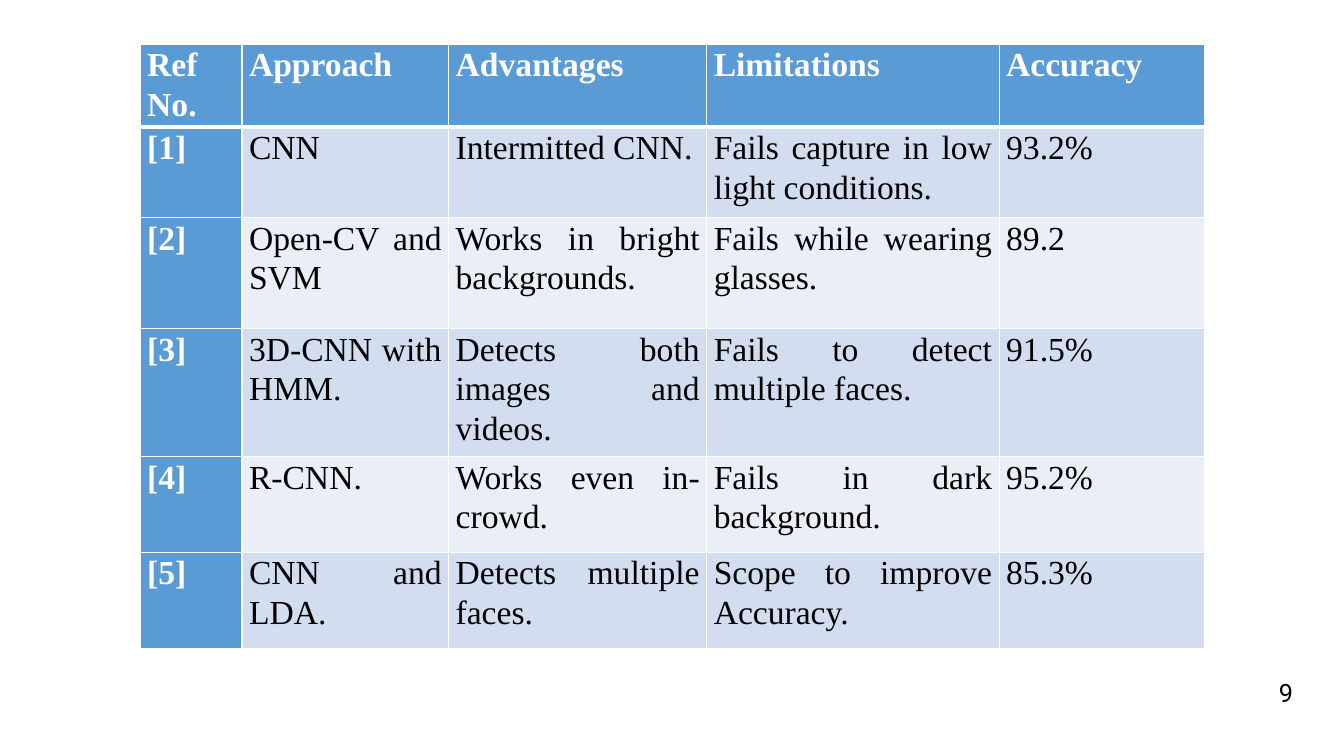
from lxml import etree
from pptx import Presentation
from pptx.dml.color import RGBColor
from pptx.enum.text import MSO_ANCHOR, PP_ALIGN
from pptx.oxml.ns import qn
from pptx.util import Inches, Pt

JUSTIFY = PP_ALIGN.JUSTIFY
CENTER = PP_ALIGN.CENTER
MIDDLE = MSO_ANCHOR.MIDDLE

WIDE, HIGH = 13.33, 7.5
LEFT, TOP = 1.39, 0.44
COLS = [1.01, 2.05, 2.56, 2.9, 2.04]
ROWS = [0.82, 0.9, 1.1, 1.27, 0.95, 0.95]
BLUE, WHITE, BLACK = "5B9BD5", "FFFFFF", "000000"
BANDS = ["EAEFF7", "D2DEEF"]

CELLS = [
    ["Ref No.", "Approach", "Advantages", "Limitations", "Accuracy"],
    ["[1]", "CNN", "Intermitted CNN.",
     "Fails capture in low light conditions.", "93.2%"],
    ["[2]", "Open-CV and SVM", "Works in bright backgrounds.",
     "Fails while wearing glasses.", "89.2"],
    ["[3]", "3D-CNN with HMM.", "Detects both images and videos.",
     "Fails to detect multiple faces.", "91.5%"],
    ["[4]", "R-CNN.", "Works even in-crowd.",
     "Fails in dark background.", "95.2%"],
    ["[5]", "CNN and LDA.", "Detects multiple faces.",
     "Scope to improve Accuracy.", "85.3%"],
]


def paint(color, tone):
    color.rgb = RGBColor.from_string(tone)


def style(frame, face, size, tone, bold, align):
    para = frame.paragraphs[0]
    para.alignment = align
    font = para.runs[0].font
    font.name, font.size, font.bold = face, Pt(size), bold
    paint(font.color, tone)
    return para


def edge(cell, side, width):
    props = cell._tc.get_or_add_tcPr()
    line = etree.SubElement(props, qn("a:ln" + side), w=str(Pt(width)))
    fill = etree.SubElement(line, qn("a:solidFill"))
    etree.SubElement(fill, qn("a:srgbClr"), val=WHITE)


def fill_cell(cell, text, row, col):
    head = row == 0 or col == 0
    cell.margin_left = cell.margin_right = Inches(0.07)
    cell.margin_top = cell.margin_bottom = 0
    cell.text_frame.text = text
    para = style(cell.text_frame, "Times New Roman", 24,
                 WHITE if head else BLACK, head, JUSTIFY)
    para.line_spacing = 1.07
    thick = {(0, "B"), (1, "T")}
    for side in "LRTB":
        edge(cell, side, 3 if (row, side) in thick else 1)
    cell.fill.solid()
    paint(cell.fill.fore_color, BLUE if head else BANDS[row % 2])


def add_grid(slide):
    box = [Inches(n) for n in (LEFT, TOP, sum(COLS), sum(ROWS))]
    table = slide.shapes.add_table(len(ROWS), len(COLS), *box).table
    for col, width in zip(table.columns, COLS):
        col.width = Inches(width)
    for row, height in zip(table.rows, ROWS):
        row.height = Inches(height)
    for r, line in enumerate(CELLS):
        for c, text in enumerate(line):
            fill_cell(table.cell(r, c), text, r, c)


def add_number(slide, text):
    box = [Inches(n) for n in (12.43, 6.67, 0.65, 0.4)]
    frame = slide.shapes.add_textbox(*box).text_frame
    frame.word_wrap = True
    frame.vertical_anchor = MIDDLE
    frame.text = text
    style(frame, "Roboto", 18, BLACK, False, CENTER)


def main():
    deck = Presentation()
    deck.slide_width, deck.slide_height = Inches(WIDE), Inches(HIGH)
    slide = deck.slides.add_slide(deck.slide_layouts[6])
    add_grid(slide)
    add_number(slide, "9")
    deck.save("out.pptx")


if __name__ == "__main__":
    main()
